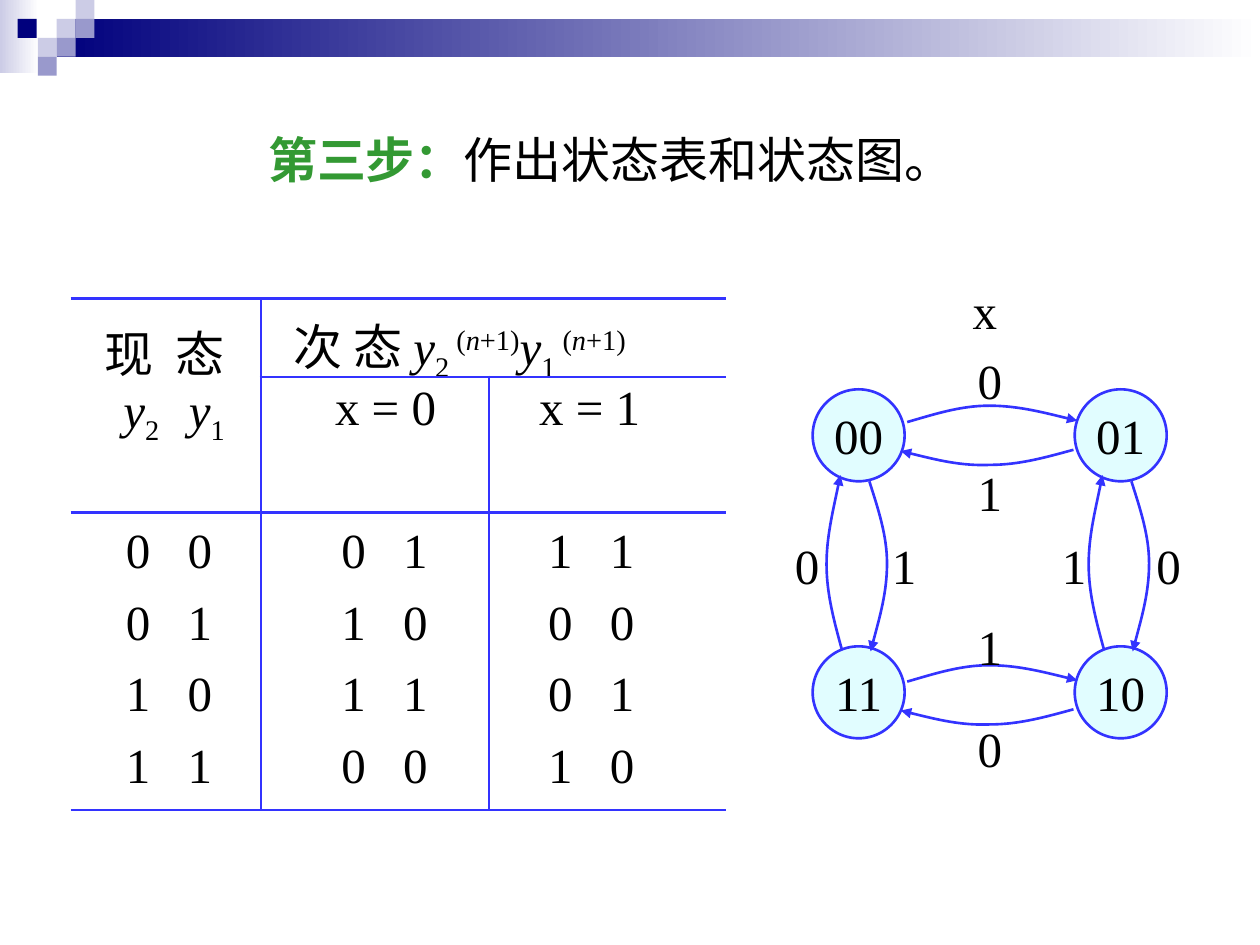
from lxml.etree import SubElement
from pptx import Presentation
from pptx.dml.color import RGBColor
from pptx.enum.shapes import MSO_SHAPE as Shape
from pptx.enum.text import MSO_ANCHOR as Anchor, PP_ALIGN as Align
from pptx.oxml.ns import qn
from pptx.util import Inches, Pt

COLORS = {"navy": "00007D", "pale": "CCCCE6", "mid": "9999CC", "white": "FFFFFF",
          "line": "3333FF", "node": "E1FDFF", "green": "339933", "black": "000000"}
FONT, SIZE, LINE_WIDTH = "Times New Roman", 28, 1.5

# Left, top, width, height, colours from left to right
GRADIENTS = [(0, 0, 0.31, 0.58, ("pale", "white")), (0.45, 0.15, 9.55, 0.3, ("navy", "white"))]
SQUARE = 0.15
SQUARES = [(0.45, 0.15, "pale"), (0.6, 0, "pale"), (0.6, 0.15, "mid"), (0.3, 0.3, "pale"),
           (0.14, 0.15, "navy"), (0.45, 0.3, "mid"), (0.3, 0.45, "mid")]

# A run is (text, style)
Y_NEXT = [("(", "super"), ("n", "italic super"), ("+1)", "super")]
PRESENT = [[("现\t态", "")],
           [("\t", ""), ("y", "italic"), ("2", "sub"), ("\t", ""), ("y", "italic"), ("1", "sub")]]
NEXT = [("次 态 ", ""), ("y", "italic"), ("2 ", "sub"), *Y_NEXT,
        ("y", "italic"), ("1 ", "sub"), *Y_NEXT]
INPUTS = ["x = 0", "x = 1"]
STATES = [("00", "01", "11"), ("01", "10", "00"), ("10", "11", "01"), ("11", "00", "10")]
TABLE_LEFT, TABLE_TOP = 0.56, 2.37
COLUMN_WIDTHS = [1.51, 1.81, 1.88]
ROW_HEIGHTS = [0.62, 0.55, 0.56, 0.56, 0.56, 0.66]
INPUT_INDENTS, STATE_INDENTS = [0.59, 0.4], [0.44, 0.64, 0.47]
DIGIT_TAB = 0.49

NODE_SIZE = 0.73
NODES = [("00", 6.45, 3.09), ("01", 8.53, 3.09), ("10", 8.53, 5.13), ("11", 6.45, 5.13)]
ACROSS, DOWN = (2.08, 0), (0, 2.06)
# Start point, then two control points and an end point for each curve; shift to the twin arrow
ARROWS = [
    ([(7.2, 3.35), (7.41, 3.29), (7.62, 3.22), (7.85, 3.22),
      (8.07, 3.22), (8.31, 3.28), (8.55, 3.34)], DOWN),
    ([(8.52, 3.57), (8.3, 3.63), (8.09, 3.69), (7.86, 3.69),
      (7.63, 3.7), (7.39, 3.64), (7.15, 3.58)], DOWN),
    ([(6.9, 3.82), (6.97, 4.04), (7.04, 4.25), (7.04, 4.47),
      (7.04, 4.7), (6.97, 4.94), (6.91, 5.17)], ACROSS),
    ([(6.68, 5.15), (6.62, 4.93), (6.56, 4.71), (6.56, 4.48),
      (6.56, 4.26), (6.62, 4.02), (6.67, 3.77)], ACROSS)]
LABELS = [("x", 7.62, 2.18), ("0", 7.66, 2.73), ("1", 7.66, 3.62), ("1", 7.66, 4.84),
          ("0", 7.66, 5.65), ("0", 6.21, 4.2), ("1", 6.98, 4.2), ("1", 8.33, 4.2), ("0", 9.08, 4.2)]


def color(name):
    return RGBColor.from_string(COLORS[name])


def set_font(paragraph):
    font = paragraph.font
    font.name, font.size = FONT, Pt(SIZE)
    font.color.rgb = color("black")


def add_runs(paragraph, runs):
    for text, style in runs:
        run = paragraph.add_run()
        run.text = text
        if "italic" in style:
            run.font.italic = True
        for word, baseline in (("sub", "-25000"), ("super", "30000")):
            if word in style:
                run._r.get_or_add_rPr().set("baseline", baseline)


def add_tabs(paragraph, *stops):
    tabs = SubElement(paragraph._p.get_or_add_pPr(), qn("a:tabLst"))
    for stop in stops:
        SubElement(tabs, qn("a:tab"), pos=str(Inches(stop)), algn="l")


def add_text(slide, runs, left, top, width, height):
    frame = slide.shapes.add_textbox(*map(Inches, (left, top, width, height))).text_frame
    frame.word_wrap = False
    paragraph = frame.paragraphs[0]
    add_runs(paragraph, runs)
    set_font(paragraph)
    return paragraph


def add_plain_shape(slide, kind, left, top, width, height):
    shape = slide.shapes.add_shape(kind, *map(Inches, (left, top, width, height)))
    shape.shadow.inherit = False
    shape.line.fill.background()
    return shape


def draw_banner(slide):
    for *box, ends in GRADIENTS:
        fill = add_plain_shape(slide, Shape.RECTANGLE, *box).fill
        fill.gradient()
        fill.gradient_angle = 0
        for stop, name, position in zip(fill.gradient_stops, ends, (0, 1)):
            stop.color.rgb, stop.position = color(name), position
    for left, top, name in SQUARES:
        square = add_plain_shape(slide, Shape.RECTANGLE, left, top, SQUARE, SQUARE)
        square.fill.solid()
        square.fill.fore_color.rgb = color(name)


def set_borders(cell, row, column):
    """Rule the cell on its inner and horizontal edges only."""
    ruled = {"L": column == 1 or (column == 2 and row > 0),
             "R": column == 0 or (column == 1 and row > 0),
             "T": row in (0, 2) or (row == 1 and column > 0),
             "B": row in (1, 5) or (row == 0 and column > 0)}
    properties = cell._tc.get_or_add_tcPr()
    for side, visible in ruled.items():
        line = SubElement(properties, qn(f"a:ln{side}"), w=str(Pt(LINE_WIDTH)))
        if visible:
            fill = SubElement(line, qn("a:solidFill"))
            SubElement(fill, qn("a:srgbClr"), val=COLORS["line"])
        else:
            SubElement(line, qn("a:noFill"))
    cell.fill.background()


def fill_cell(cell, paragraphs, left, top, tabs=()):
    cell.margin_left, cell.margin_top = Inches(left), Inches(top)
    cell.margin_right = cell.margin_bottom = 0
    frame = cell.text_frame
    for index, runs in enumerate(paragraphs):
        paragraph = frame.add_paragraph() if index else frame.paragraphs[0]
        if len(paragraphs) > 1:
            paragraph.line_spacing = 0.9
        if tabs:
            add_tabs(paragraph, *tabs[index])
        add_runs(paragraph, runs)
        set_font(paragraph)


def draw_state_table(slide):
    box = (TABLE_LEFT, TABLE_TOP, sum(COLUMN_WIDTHS), sum(ROW_HEIGHTS))
    table = slide.shapes.add_table(len(ROW_HEIGHTS), len(COLUMN_WIDTHS), *map(Inches, box)).table
    table.first_row = table.horz_banding = False
    for column, width in zip(table.columns, COLUMN_WIDTHS):
        column.width = Inches(width)
    for r, height in enumerate(ROW_HEIGHTS):
        table.rows[r].height = Inches(height)
        for c in range(len(COLUMN_WIDTHS)):
            set_borders(table.cell(r, c), r, c)
    table.cell(0, 0).merge(table.cell(1, 0))
    table.cell(0, 1).merge(table.cell(0, 2))
    fill_cell(table.cell(0, 0), PRESENT, 0.27, 0.18, [(0.56,), (0.15, 0.67)])
    fill_cell(table.cell(0, 1), [NEXT], 0.26, 0.08)
    for c, (text, indent) in enumerate(zip(INPUTS, INPUT_INDENTS), 1):
        fill_cell(table.cell(1, c), [[(text, "")]], indent, 0.04)
    for r, states in enumerate(STATES, 2):
        for c, (state, indent) in enumerate(zip(states, STATE_INDENTS)):
            fill_cell(table.cell(r, c), [[("\t".join(state), "")]], indent, 0.1, [(DIGIT_TAB,)])


def draw_arrow(slide, points):
    """Draw a curved arrow by turning each three line segments into one Bézier curve."""
    start, *rest = [(Inches(x), Inches(y)) for x, y in points]
    builder = slide.shapes.build_freeform(*start)
    builder.add_line_segments(rest, close=False)
    arrow = builder.convert_to_shape()
    segments = list(arrow._element.iter(qn("a:lnTo")))
    for first in range(0, len(segments), 3):
        curve = SubElement(segments[first].getparent(), qn("a:cubicBezTo"))
        for segment in segments[first:first + 3]:
            curve.append(segment[0])
            segment.getparent().remove(segment)
    arrow.shadow.inherit = False
    arrow.fill.background()
    arrow.line.color.rgb, arrow.line.width = color("line"), Pt(LINE_WIDTH)
    SubElement(arrow.line._get_or_add_ln(), qn("a:tailEnd"), type="triangle", w="med", len="med")


def draw_state_diagram(slide):
    for text, left, top in NODES:
        node = add_plain_shape(slide, Shape.OVAL, left, top, NODE_SIZE, NODE_SIZE)
        node.fill.solid()
        node.fill.fore_color.rgb = color("node")
        node.line.color.rgb, node.line.width = color("line"), Pt(LINE_WIDTH)
        frame = node.text_frame
        frame.word_wrap, frame.vertical_anchor = False, Anchor.MIDDLE
        paragraph = frame.paragraphs[0]
        paragraph.text, paragraph.alignment = text, Align.CENTER
        set_font(paragraph)
    for points, (dx, dy) in ARROWS:
        draw_arrow(slide, points)
        draw_arrow(slide, [(x + dx, y + dy) for x, y in points])
    for text, left, top in LABELS:
        add_text(slide, [(text, "")], left, top, 0.39, 0.57)


def main():
    presentation = Presentation()
    presentation.slide_width, presentation.slide_height = Inches(10), Inches(7.5)
    slide = presentation.slides.add_slide(presentation.slide_layouts[6])
    draw_banner(slide)
    title = add_text(slide, [("第三步：", ""), ("作出状态表和状态图。", "")], 2.03, 0.98, 5.63, 0.57)
    step = title.runs[0].font
    step.bold, step.color.rgb = True, color("green")
    draw_state_table(slide)
    draw_state_diagram(slide)
    presentation.save("out.pptx")


if __name__ == "__main__":
    main()
